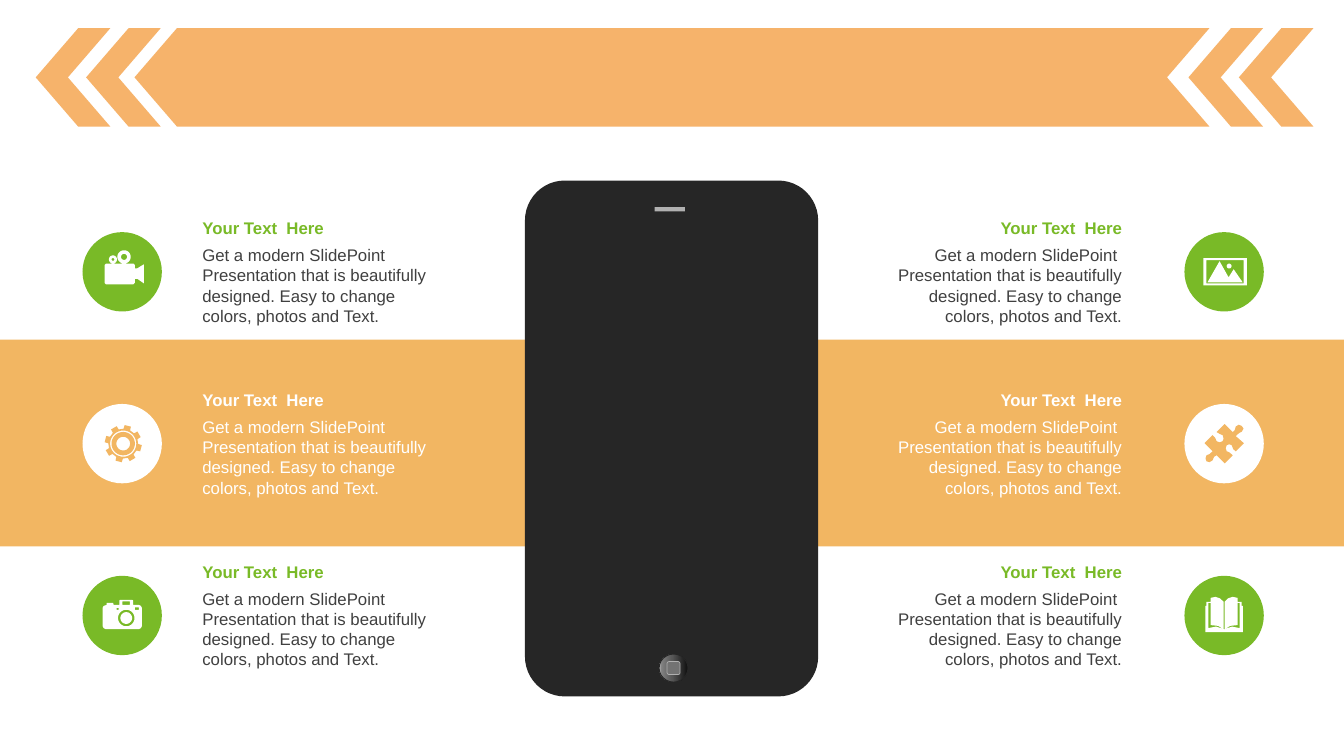
"""Build a slide with a phone, a chevron banner and six captioned icons."""
from functools import partial
from math import cos, pi, radians, sin

from lxml import etree
from pptx import Presentation
from pptx import util as u
from pptx.dml import color
from pptx.enum import shapes as s
from pptx.enum import text as t
from pptx.oxml import ns

GREEN, WHITE, GREY, SAND, ORANGE, BLACK = "79BA27", "FFFFFF", "404040", "F2B662", "F3932D", "262626"
SILVER = "B0B0B0"
HEADING = "Your Text  Here"
BODY = ("Get a modern SlidePoint  Presentation that is beautifully designed. "
        "Easy to change colors, photos and Text.")
CHEVRON_WIDTH, CHEVRON_STEP, POINT_DEPTH = 1.88, 1.27, 1.07


def rgb(hex_code):
    """Turn a hex string into a colour."""
    return color.RGBColor.from_string(hex_code)


def paint(part, fill, opacity=100):
    """Give a part a plain fill, without outline or shadow."""
    part.shadow.inherit = False
    part.fill.solid()
    part.fill.fore_color.rgb = rgb(fill)
    part.line.fill.background()
    if opacity < 100:
        srgb = part.fill._xPr.find(".//" + ns.qn("a:srgbClr"))
        etree.SubElement(srgb, ns.qn("a:alpha"), val=str(opacity * 1000))
    return part


def preset(slide, kind, left, top, width, height, fill, opacity=100):
    """Place a filled preset shape, measured in centimetres."""
    part = slide.shapes.add_shape(kind, *map(u.Cm, (left, top, width, height)))
    return paint(part, fill, opacity)


def outline(slide, left, top, contours, unit, fill, opacity=100):
    """Draw closed contours as one shape, a unit being given in centimetres."""
    fine = [[(x * 100, y * 100) for x, y in contour] for contour in contours]
    builder = slide.shapes.build_freeform(*fine[0][0], scale=u.Cm(unit) / 100)
    builder.add_line_segments(fine[0][1:], close=True)
    for contour in fine[1:]:
        builder.move_to(*contour[0])
        builder.add_line_segments(contour[1:], close=True)
    return paint(builder.convert_to_shape(u.Cm(left), u.Cm(top)), fill, opacity)


def circle(x, y, radius, steps=36):
    """Return the points of a circle."""
    return [(x + radius * cos(2 * pi * i / steps), y + radius * sin(2 * pi * i / steps))
            for i in range(steps)]


def box(left, top, right, bottom, cut=0):
    """Return the points of a rectangle with cut corners."""
    if not cut:
        return [(left, top), (right, top), (right, bottom), (left, bottom)]
    return [(left + cut, top), (right - cut, top), (right, top + cut), (right, bottom - cut),
            (right - cut, bottom), (left + cut, bottom), (left, bottom - cut), (left, top + cut)]


def gear(x, y, root, tip, teeth=8, first=-75.6):
    """Return the points of a toothed wheel."""
    points = []
    for tooth in range(teeth):
        for turn, radius in ((-13, root), (-10, tip), (10, tip), (13, root)):
            angle = radians(first + tooth * 360 / teeth + turn)
            points.append((x + radius * cos(angle), y + radius * sin(angle)))
    return points


def mirror(contour):
    """Reflect points in the vertical axis."""
    return [(-x, y) for x, y in contour]


VIDEO = [circle(-9.2, -12.3, 4), circle(-9.2, -12.3, 1.4),
         circle(1.8, -14.8, 6.6), circle(1.8, -14.8, 3),
         box(-17.5, -8.2, 12.5, 12.5, 1.5),
         [(12.5, -3.5), (15, -3.5), (21.5, -7.5), (21.5, 11.5), (15, 7), (12.5, 7)]]
PHOTO = [box(-20.5, -13.5, 22.5, 13.5), box(-17.5, -11.5, 19.5, 11.5), circle(5, -5.7, 2.4),
         [(-4.5, -10.5), (4.5, 5.5), (9.5, -2.5), (18.5, 10.5), (-16.5, 10.5)]]
COG = [gear(1, 0, 14.8, 18.5), circle(1, 0, 13), circle(1, 0, 11.6), circle(1, 0, 6.8)]
CAMERA = [[(-18.5, -9.5), (-15.5, -10.5), (-15.5, -12.5), (-9, -12.5), (-8.5, -10.5),
           (-2.8, -10.5), (-2.8, -15), (-2, -15.5), (10, -15.5), (10.8, -15), (10.8, -10.5),
           (16.5, -10.5), (18.5, -9.5), (19.5, -7.5), (19.5, 10.5), (18.5, 12.5), (16.5, 13.5),
           (-16.5, 13.5), (-18.5, 12.5), (-19.5, 10.5), (-19.5, -7.5)],
          box(.2, -14, 7.5, -10.5), box(-5.5, -7.5, -3.5, -5.5), box(12.5, -8, 16.5, -5.5),
          circle(4, 2.5, 8.2), circle(4, 2.5, 5.8)]
PUZZLE = [[(17.5, -17.5), (19.2, -15), (17.5, -12), (14.5, -10.3), (11.5, -7.5), (19.5, -.5),
           (11.5, 7.5), (9, 5.5), (7.5, 1.5), (5, .6), (2.5, 1.5), (1.5, 4.5), (2.5, 7.5),
           (5, 8.5), (8.5, 11.5), (.5, 19.5), (-7.5, 11.5), (-10, 13), (-11.5, 16.5),
           (-14.5, 18.3), (-17.5, 17.5), (-18.5, 14.5), (-17.5, 11.5), (-14.5, 10.3),
           (-11.5, 7.5), (-19.5, -.5), (-11.5, -8.5), (-9, -6), (-7.5, -2.5), (-4.5, -1.3),
           (-1.5, -2.5), (-.6, -5), (-1.5, -8.5), (-4, -9.5), (-7.5, -11.5), (.5, -19.5),
           (8.5, -11.5), (10.5, -13.5), (11.5, -17), (14.5, -18.8)]]
PAGE = [(-.4, -13.5), (-4, -17), (-8.5, -18.5), (-13.5, -17.5), (-13.5, -13.5), (-17.5, -13.5),
        (-17.5, -9.5), (-18.5, -9.5), (-18.5, 16.5), (0, 16.5), (0, 14), (-.4, 13.5)]
PAGE_EDGE = [(-13.5, -12.5), (-15.5, -12.5), (-15.5, 12.5), (-8, 11), (-1, 13.3),
             (-6, 10.3), (-13.5, 9.5)]
BOOK = [PAGE, PAGE_EDGE, mirror(PAGE), mirror(PAGE_EDGE)]


def add_phone(slide, left, top, width, height):
    """Draw the phone with its speaker and home button."""
    body = preset(slide, s.MSO_SHAPE.ROUNDED_RECTANGLE, left, top, width, height, BLACK)
    body.adjustments[0] = 0.136
    preset(slide, s.MSO_SHAPE.RECTANGLE, left + 3.27, top + .67, .76, .11, SILVER)
    home = preset(slide, s.MSO_SHAPE.OVAL, left + 3.38, top + 11.93, .73, .71, BLACK)
    home.fill.gradient()
    home.fill.gradient_angle = 180
    stops = home.fill._xPr.find(".//" + ns.qn("a:gsLst"))
    for stop in list(stops):
        stops.remove(stop)
    for position, shade in ((0, "0F0F0F"), (56, "595959"), (91, "808080"), (100, "BFBFBF")):
        stop = etree.SubElement(stops, ns.qn("a:gs"), pos=str(position * 1000))
        etree.SubElement(stop, ns.qn("a:srgbClr"), val=shade)
    home.line.color.rgb = rgb(BLACK)
    home.line.width = u.Cm(0)
    key = preset(slide, s.MSO_SHAPE.ROUNDED_RECTANGLE, left + 3.58, top + 12.12, .33, .33, "737373")
    key.line.color.rgb = rgb(SILVER)
    key.line.width = u.Pt(.5)


def add_banner(slide, left, top, width, height):
    """Draw the title ribbon between two pairs of chevrons."""
    last = left + width - CHEVRON_WIDTH
    for x in (left, left + CHEVRON_STEP, last - CHEVRON_STEP, last):
        chevron = preset(slide, s.MSO_SHAPE.CHEVRON, x, top, CHEVRON_WIDTH, height, ORANGE, 70)
        chevron.adjustments[0] = POINT_DEPTH / CHEVRON_WIDTH
        chevron.rotation = 180
    ribbon = width - 5.11
    outline(slide, left + 2.49, top,
            [[(POINT_DEPTH, 0), (ribbon, 0), (ribbon - POINT_DEPTH, height / 2),
              (ribbon, height), (POINT_DEPTH, height), (0, height / 2)]], 1, ORANGE, 70)


def add_words(slide, left, top, width, height, words, ink, align, bold=False):
    """Place one wrapped paragraph."""
    frame = slide.shapes.add_textbox(*map(u.Cm, (left, top, width, height))).text_frame
    frame.word_wrap = True
    frame.auto_size = t.MSO_AUTO_SIZE.SHAPE_TO_FIT_TEXT
    paragraph = frame.paragraphs[0]
    paragraph.text = words
    paragraph.alignment = align
    font = paragraph.font
    font.name, font.size, font.bold = "Arial", u.Pt(12), bold
    font.color.rgb = rgb(ink)


def add_feature(slide, badge_left, text_left, top, icon, on_band, align):
    """Place a round badge with its icon, heading and description."""
    badge, symbol, heading, body = ((WHITE, SAND, WHITE, WHITE) if on_band
                                    else (GREEN, WHITE, GREEN, GREY))
    preset(slide, s.MSO_SHAPE.OVAL, badge_left, top, 2, 2, badge)
    outline(slide, badge_left + 1, top + 1, icon, .0254, symbol)
    words = partial(add_words, slide, text_left, width=6.71, align=align)
    words(top=top - .49, height=.76, words=HEADING, ink=heading, bold=True)
    words(top=top + .2, height=2.31, words=BODY, ink=body)


def main():
    """Assemble and save the slide."""
    deck = Presentation()
    deck.slide_width, deck.slide_height = u.Cm(33.87), u.Cm(19.05)
    slide = deck.slides.add_slide(deck.slide_layouts[6])
    preset(slide, s.MSO_SHAPE.RECTANGLE, 0, 8.56, 33.87, 5.21, SAND)
    add_phone(slide, 13.23, 4.55, 7.39, 13)
    add_banner(slide, .9, .71, 32.2, 2.48)
    columns = ((2.08, 4.85, (VIDEO, COG, CAMERA), t.PP_ALIGN.LEFT),
               (29.85, 21.82, (PHOTO, PUZZLE, BOOK), t.PP_ALIGN.RIGHT))
    for badge_left, text_left, icons, align in columns:
        for row, icon in enumerate(icons):
            add_feature(slide, badge_left, text_left, 5.85 + row * 4.33, icon, row == 1, align)
    deck.save("out.pptx")


if __name__ == "__main__":
    main()
